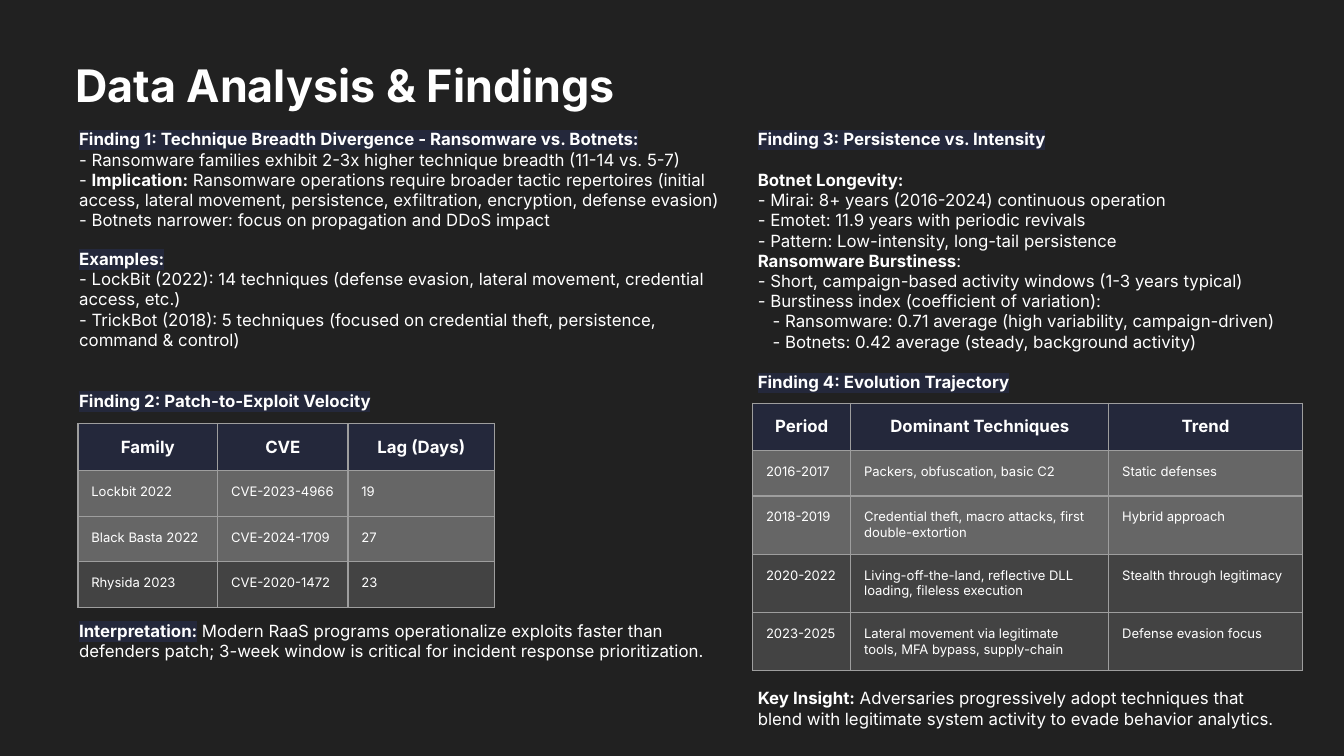
from dataclasses import dataclass

from lxml import etree
from pptx import Presentation
from pptx.dml.color import RGBColor
from pptx.enum.text import PP_ALIGN
from pptx.oxml.ns import qn
from pptx.util import Inches, Pt

CENTER, LEFT = PP_ALIGN.CENTER, PP_ALIGN.LEFT


@dataclass(frozen=True)
class Theme:
    font: str = "Inter"
    back: str = "212121"
    ink: str = "FFFFFF"
    navy: str = "24283B"
    light: str = "666666"
    dark: str = "434343"
    edge: str = "9E9E9E"
    title: int = 24
    body: int = 9
    cell: int = 7
    rule: float = 0.75
    pad: float = 0.1


THEME = Theme()


@dataclass(frozen=True)
class Line:
    text: str = ""
    head: str = ""
    lead: str = ""
    mark: bool = False
    gap: int = 0
    indent: float = 0


def add_fill(parent, color):
    fill = etree.SubElement(parent, qn("a:solidFill"))
    etree.SubElement(fill, qn("a:srgbClr"), val=color)


def set_font(para, size):
    font = para.font
    font.name = THEME.font
    font.size = Pt(size)
    font.color.rgb = RGBColor.from_string(THEME.ink)


def add_run(para, text, bold=False, mark=False):
    if not text:
        return
    run = para.add_run()
    run.text = text
    run.font.bold = bold
    if mark:
        light = etree.SubElement(run.font._element, qn("a:highlight"))
        etree.SubElement(light, qn("a:srgbClr"), val=THEME.navy)


def pad_frame(item):
    item.margin_left = item.margin_right = Inches(THEME.pad)
    item.margin_top = item.margin_bottom = Inches(THEME.pad)


def add_text(slide, box, lines, size=THEME.body):
    frame = slide.shapes.add_textbox(*map(Inches, box)).text_frame
    frame.word_wrap = True
    pad_frame(frame)
    for i, line in enumerate(lines):
        para = frame.add_paragraph() if i else frame.paragraphs[0]
        if line.gap:
            para.space_before = Pt(line.gap)
        if line.indent:
            para._p.get_or_add_pPr().set("marL", str(Inches(line.indent)))
        set_font(para, size)
        add_run(para, line.lead)
        add_run(para, line.head, True, line.mark)
        add_run(para, line.text)


def add_border(cell):
    props = cell._tc.get_or_add_tcPr()
    for side in ("lnL", "lnR", "lnT", "lnB"):
        edge = etree.SubElement(props, qn(f"a:{side}"), w=str(Pt(THEME.rule)))
        add_fill(edge, THEME.edge)


def add_grid(slide, x, y, widths, heights, rows):
    box = map(Inches, (x, y, sum(widths), sum(heights)))
    grid = slide.shapes.add_table(len(rows), len(widths), *box).table
    grid.first_row = grid.horz_banding = False
    for col, width in zip(grid.columns, widths):
        col.width = Inches(width)
    for i, (row, height) in enumerate(zip(rows, heights)):
        grid.rows[i].height = Inches(height)
        color = THEME.navy if i == 0 else THEME.light if i < 3 else THEME.dark
        for j, text in enumerate(row):
            cell = grid.cell(i, j)
            pad_frame(cell)
            add_border(cell)
            cell.fill.solid()
            cell.fill.fore_color.rgb = RGBColor.from_string(color)
            para = cell.text_frame.paragraphs[0]
            para.alignment = LEFT if i else CENTER
            set_font(para, THEME.cell if i else THEME.body)
            add_run(para, text, i == 0, i == 0)


def add_left(slide, x, y):
    add_text(slide, (x, y, 5.08, 1.85), [
        Line(head="Finding 1: Technique Breadth Divergence - Ransomware vs. Botnets:", mark=True),
        Line("- Ransomware families exhibit 2-3x higher technique breadth (11-14 vs. 5-7)"),
        Line(" Ransomware operations require broader tactic repertoires (initial access, lateral "
             "movement, persistence, exfiltration, encryption, defense evasion)",
             head="Implication:", lead="- "),
        Line("- Botnets narrower: focus on propagation and DDoS impact"),
        Line(head="Examples:", mark=True, gap=10),
        Line("- LockBit (2022): 14 techniques (defense evasion, lateral movement, credential "
             "access, etc.)"),
        Line("- TrickBot (2018): 5 techniques (focused on credential theft, persistence, "
             "command & control)"),
        Line(head="Finding 2: Patch-to-Exploit Velocity", mark=True, gap=22),
    ])
    add_grid(slide, x + 0.09, y + 2.29, [1.04, 0.97, 1.09], [0.35] + [0.34] * 3, [
        ("Family", "CVE", "Lag (Days)"),
        ("Lockbit 2022", "CVE-2023-4966", "19"),
        ("Black Basta 2022", "CVE-2024-1709", "27"),
        ("Rhysida 2023", "CVE-2020-1472", "23"),
    ])
    add_text(slide, (x, y + 3.66, 4.97, 0.5), [
        Line(" Modern RaaS programs operationalize exploits faster than defenders patch; 3-week "
             "window is critical for incident response prioritization.",
             head="Interpretation:", mark=True),
    ])


def add_right(slide, x, y):
    add_text(slide, (x, y, 4.19, 2.17), [
        Line(head="Finding 3: Persistence vs. Intensity", mark=True),
        Line(head="Botnet Longevity:", gap=11),
        Line("- Mirai: 8+ years (2016-2024) continuous operation"),
        Line("- Emotet: 11.9 years with periodic revivals"),
        Line("- Pattern: Low-intensity, long-tail persistence"),
        Line(":", head="Ransomware Burstiness"),
        Line("- Short, campaign-based activity windows (1-3 years typical)"),
        Line("- Burstiness index (coefficient of variation):"),
        Line("- Ransomware: 0.71 average (high variability, campaign-driven)", indent=0.11),
        Line("- Botnets: 0.42 average (steady, background activity)", indent=0.11),
        Line(head="Finding 4: Evolution Trajectory", mark=True, gap=11),
    ])
    add_grid(slide, x + 0.06, y + 2.14, [0.73, 1.92, 1.44], [0.35, 0.34] + [0.43] * 3, [
        ("Period", "Dominant Techniques", "Trend"),
        ("2016-2017", "Packers, obfuscation, basic C2", "Static defenses"),
        ("2018-2019", "Credential theft, macro attacks, first double-extortion",
         "Hybrid approach"),
        ("2020-2022", "Living-off-the-land, reflective DLL loading, fileless execution",
         "Stealth through legitimacy"),
        ("2023-2025", "Lateral movement via legitimate tools, MFA bypass, supply-chain",
         "Defense evasion focus"),
    ])
    add_text(slide, (x, y + 4.16, 4.08, 0.45), [
        Line(" Adversaries progressively adopt techniques that blend with legitimate system "
             "activity to evade behavior analytics.", head="Key Insight:"),
    ])


def main():
    deck = Presentation()
    deck.slide_width, deck.slide_height = Inches(10), Inches(10 * 9 / 16)
    slide = deck.slides.add_slide(deck.slide_layouts[6])
    fill = slide.background.fill
    fill.solid()
    fill.fore_color.rgb = RGBColor.from_string(THEME.back)
    title = Line(head="Data Analysis & Findings")
    add_text(slide, (0.46, 0.33, 8.78, 0.56), [title], THEME.title)
    add_left(slide, 0.49, 0.86)
    add_right(slide, 5.54, 0.86)
    deck.save("out.pptx")


if __name__ == "__main__":
    main()
